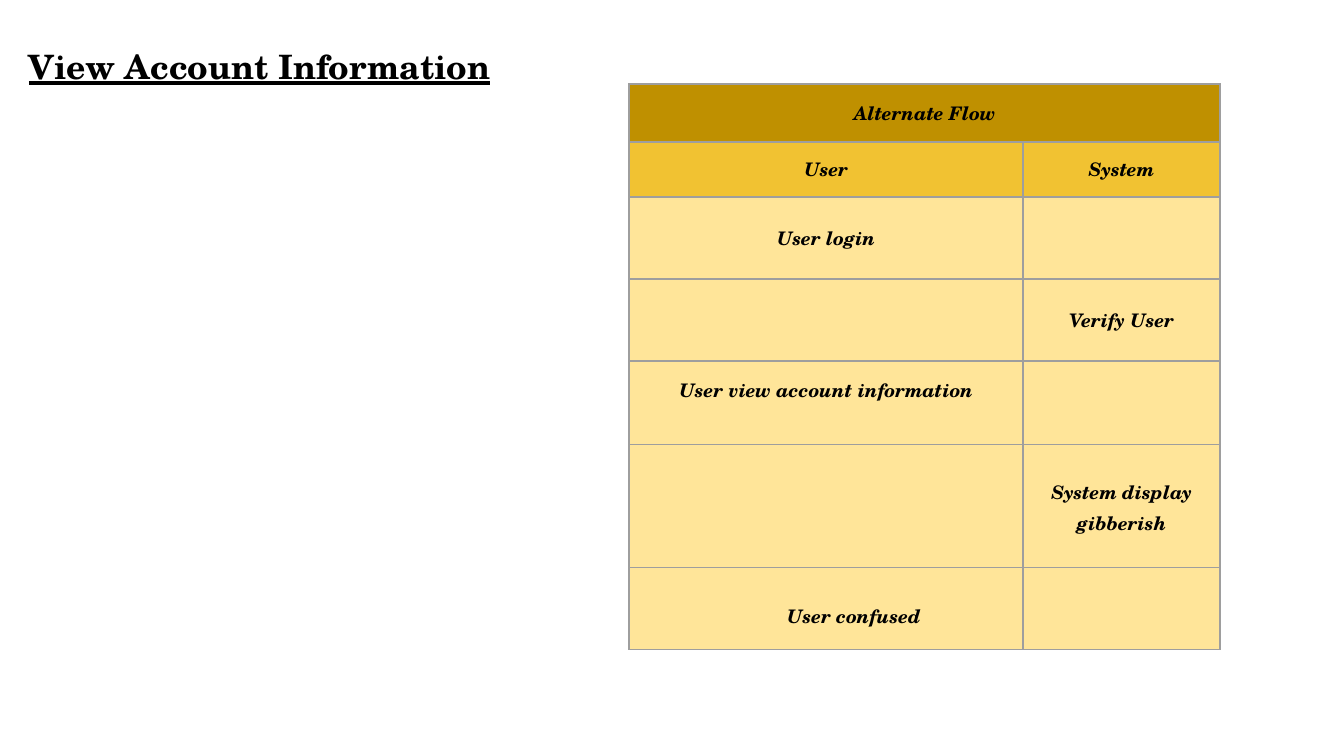
import pptx
import pptx.util
import pptx.dml.color
import pptx.enum.text
import pptx.oxml
import pptx.oxml.ns
from dataclasses import dataclass

ALIGN = pptx.enum.text.PP_ALIGN
MIDDLE = pptx.enum.text.MSO_ANCHOR.MIDDLE
SCALE = 914400 / 134.4


def px(n):
    return pptx.util.Emu(round(n * SCALE))


@dataclass
class Theme:
    font: str = "TeX Gyre Schola"
    ink: str = "000000"
    rule: str = "9E9E9E"
    head: str = "BF9000"
    sub: str = "F1C232"
    body: str = "FFE599"
    title: int = 18
    text: int = 10
    pad: int = 13


class Page:
    def __init__(self, deck, theme):
        self.theme = theme
        self.slide = deck.slides.add_slide(deck.slide_layouts[6])

    def style(self, par, **form):
        form = {"name": self.theme.font, "bold": True, **form}
        for key, value in form.items():
            setattr(par.font, key, value)
        par.font.color.rgb = pptx.dml.color.RGBColor.from_string(self.theme.ink)

    def inset(self, item, **extra):
        sides = ("left", "right", "top", "bottom")
        for side in sides:
            setattr(item, "margin_" + side, px(extra.get(side, self.theme.pad)))

    def title(self, text, box, indent):
        frame = self.slide.shapes.add_textbox(*map(px, box)).text_frame
        frame.word_wrap = True
        frame.vertical_anchor = MIDDLE
        self.inset(frame)
        par = frame.paragraphs[0]
        par.text = text
        par.line_spacing = 1.08
        par._p.get_or_add_pPr().set("indent", str(px(indent)))
        self.style(par, size=pptx.util.Pt(self.theme.title), underline=True)

    def border(self, cell):
        space = pptx.oxml.ns.nsdecls("a")
        for side in "LRTB":
            cell._tc.get_or_add_tcPr().append(pptx.oxml.parse_xml(
                f'<a:ln{side} {space} w="9525"><a:solidFill>'
                f'<a:srgbClr val="{self.theme.rule}"/></a:solidFill></a:ln{side}>'))

    def cell(self, cell, color, text="", align=ALIGN.CENTER, line=None, **extra):
        self.border(cell)
        cell.fill.solid()
        cell.fill.fore_color.rgb = pptx.dml.color.RGBColor.from_string(color)
        cell.vertical_anchor = MIDDLE
        self.inset(cell, **extra)
        par = cell.text_frame.paragraphs[0]
        par.text = text
        par.alignment = align
        par.line_spacing = line
        self.style(par, size=pptx.util.Pt(self.theme.text), italic=True)

    def table(self, left, top, width, rows):
        """Each row: height, color, merged columns, {column: cell options}."""
        high = sum(row[0] for row in rows)
        grid = self.slide.shapes.add_table(
            len(rows), 3, px(left), px(top), px(3 * width), px(high)).table
        grid.first_row = grid.horz_banding = False
        for col in grid.columns:
            col.width = px(width)
        for r, (tall, color, span, cells) in enumerate(rows):
            grid.rows[r].height = px(tall)
            for c in range(3):
                self.cell(grid.cell(r, c), color, **cells.get(c, {}))
            grid.cell(r, 0).merge(grid.cell(r, span - 1))


def main():
    deck = pptx.Presentation()
    deck.slide_width, deck.slide_height = px(1344), px(756)
    theme = Theme()
    page = Page(deck, theme)

    # Flow table: user steps in column 0, system steps in column 2
    steps = [
        (82, {0: {"text": "User login"}}),
        (82, {2: {"text": "Verify User"}}),
        (84, {0: {"text": "User view account information", "bottom": 39}}),
        (123, {2: {"text": "System display gibberish", "line": 1.08}}),
        (82, {0: {"text": "User confused", "align": ALIGN.LEFT,
                  "line": 1.5, "left": 158}}),
    ]
    rows = [
        (58, theme.head, 3, {0: {"text": "Alternate Flow"}}),
        (55, theme.sub, 2, {0: {"text": "User"}, 2: {"text": "System"}}),
    ] + [(tall, theme.body, 2, cells) for tall, cells in steps]
    page.table(629, 84, 197, rows)

    # Title
    page.title("View Account Information", (-51, 15, 638, 99), 67)

    deck.save("out.pptx")


if __name__ == "__main__":
    main()
